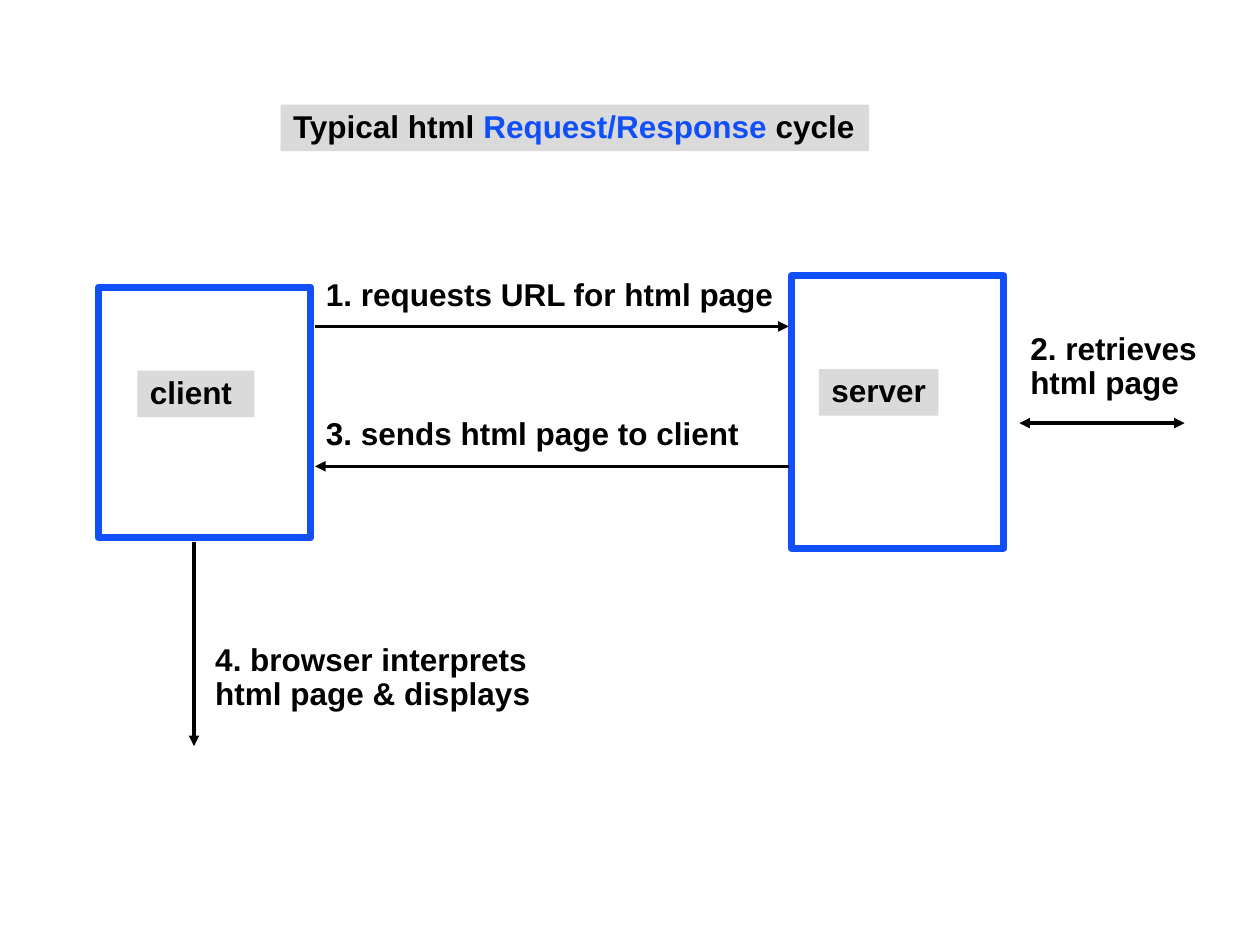
import pptx
import pptx.util
import pptx.dml.color
import pptx.enum.shapes
import pptx.enum.text
import pptx.oxml
import pptx.oxml.ns
from pptx.util import Cm

BLACK = pptx.dml.color.RGBColor(0x00, 0x00, 0x00)
WHITE = pptx.dml.color.RGBColor(0xFF, 0xFF, 0xFF)
BLUE = pptx.dml.color.RGBColor(0x11, 0x4F, 0xFB)
GREY = pptx.dml.color.RGBColor(0xDA, 0xDA, 0xDA)

# Content: positions in centimetres
MACHINES = [  # left, top, width, height
    (1.98, 5.79, 4.29, 5.05),
    (15.95, 5.56, 4.29, 5.49),
]
CLIENT_EDGE, SERVER_EDGE = 6.35, 15.9
ARROWS = [  # start, end, ends that carry an arrowhead
    ((CLIENT_EDGE, 6.58), (SERVER_EDGE, 6.58), ["tailEnd"]),
    ((SERVER_EDGE, 9.4), (CLIENT_EDGE, 9.4), ["tailEnd"]),
    ((20.55, 8.53), (23.88, 8.53), ["headEnd", "tailEnd"]),
    ((3.91, 10.92), (3.91, 15.04), ["tailEnd"]),
]
LABELS = [  # left, top, width, fill, lines of (text, colour) runs
    (5.66, 2.11, 11.86, GREY,
     [[("Typical html ", BLACK), ("Request/Response", BLUE), (" cycle", BLACK)]]),
    (2.77, 7.47, 2.36, GREY, [[("client", BLACK)]]),
    (16.51, 7.44, 2.41, GREY, [[("server", BLACK)]]),
    (6.32, 5.51, 9.53, None, [[("1. requests URL for html page", BLACK)]]),
    (20.52, 6.58, 4.04, None, [[("2. retrieves", BLACK)], [("html page", BLACK)]]),
    (6.32, 8.31, 8.84, None, [[("3. sends html page to client", BLACK)]]),
    (4.09, 12.85, 6.86, None,
     [[("4. browser interprets", BLACK)], [("html page & displays", BLACK)]]),
]
FIRST_LINE_HEIGHT, NEXT_LINE_HEIGHT = 0.94, 0.69

FONT = {"name": "Arial", "size": pptx.util.Pt(18), "bold": True}
FRAME = {
    "word_wrap": False,
    "auto_size": pptx.enum.text.MSO_AUTO_SIZE.SHAPE_TO_FIT_TEXT,
    "vertical_anchor": pptx.enum.text.MSO_ANCHOR.TOP,
    "margin_left": Cm(0.25), "margin_right": Cm(0.25),
    "margin_top": Cm(0.13), "margin_bottom": Cm(0.13),
}
PARAGRAPH = {"alignment": pptx.enum.text.PP_ALIGN.LEFT, "line_spacing": 0.9}


def apply(target, values):
    for name, value in values.items():
        setattr(target, name, value)


def set_line(line, color, width):
    line.color.rgb = color
    line.width = pptx.util.Pt(width)


def add_rectangle(slide, box, fill):
    shape = slide.shapes.add_shape(
        pptx.enum.shapes.MSO_SHAPE.RECTANGLE, *map(Cm, box))
    shape.shadow.inherit = False
    shape.fill.solid()
    shape.fill.fore_color.rgb = fill
    return shape


def add_machine(slide, box):
    set_line(add_rectangle(slide, box, WHITE).line, BLUE, 4)


def add_label(slide, left, top, width, fill, lines):
    height = FIRST_LINE_HEIGHT + NEXT_LINE_HEIGHT * (len(lines) - 1)
    box = (left, top, width, height)
    if fill is None:
        shape = slide.shapes.add_textbox(*map(Cm, box))
    else:
        shape = add_rectangle(slide, box, fill)
        shape.line.fill.background()
    frame = shape.text_frame
    apply(frame, FRAME)
    for index, runs in enumerate(lines):
        paragraph = frame.add_paragraph() if index else frame.paragraphs[0]
        apply(paragraph, PARAGRAPH)
        for text, color in runs:
            run = paragraph.add_run()
            run.text = text
            apply(run.font, FONT)
            run.font.color.rgb = color


def add_arrow(slide, start, end, heads):
    connector = slide.shapes.add_connector(
        pptx.enum.shapes.MSO_CONNECTOR.STRAIGHT, *map(Cm, start + end))
    set_line(connector.line, BLACK, 2)
    line = connector.line._get_or_add_ln()
    for head in heads:
        line.append(pptx.oxml.parse_xml(
            f'<a:{head} {pptx.oxml.ns.nsdecls("a")} type="triangle"/>'))
    connector._element.spPr.append(
        pptx.oxml.parse_xml(f'<a:effectLst {pptx.oxml.ns.nsdecls("a")}/>'))


def main():
    presentation = pptx.Presentation()
    presentation.slide_width, presentation.slide_height = Cm(25.4), Cm(19.05)
    slide = presentation.slides.add_slide(presentation.slide_layouts[6])

    # Client and server boxes, then the messages between them
    for box in MACHINES:
        add_machine(slide, box)
    for arrow in ARROWS:
        add_arrow(slide, *arrow)
    for label in LABELS:
        add_label(slide, *label)

    presentation.save("out.pptx")


if __name__ == "__main__":
    main()
